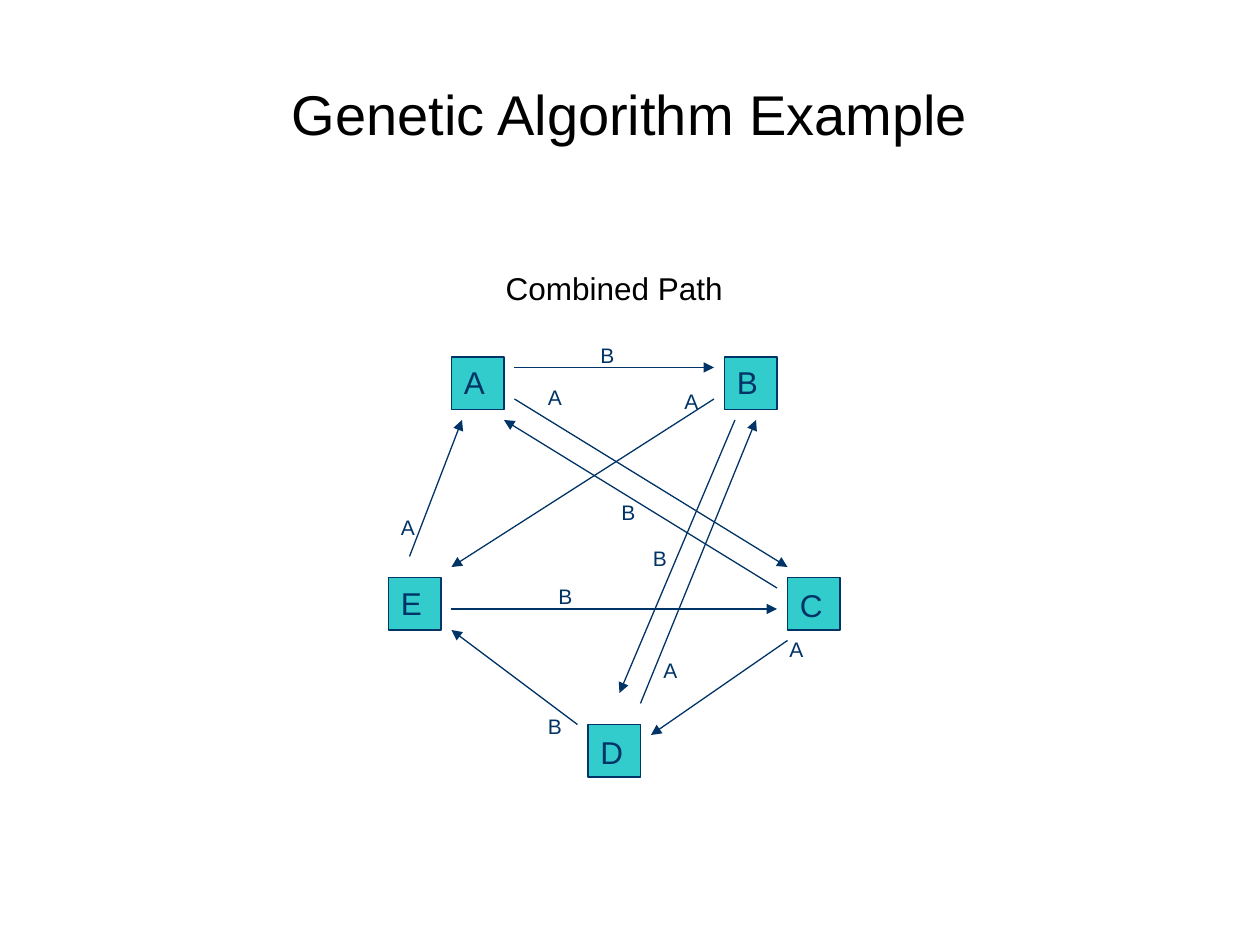
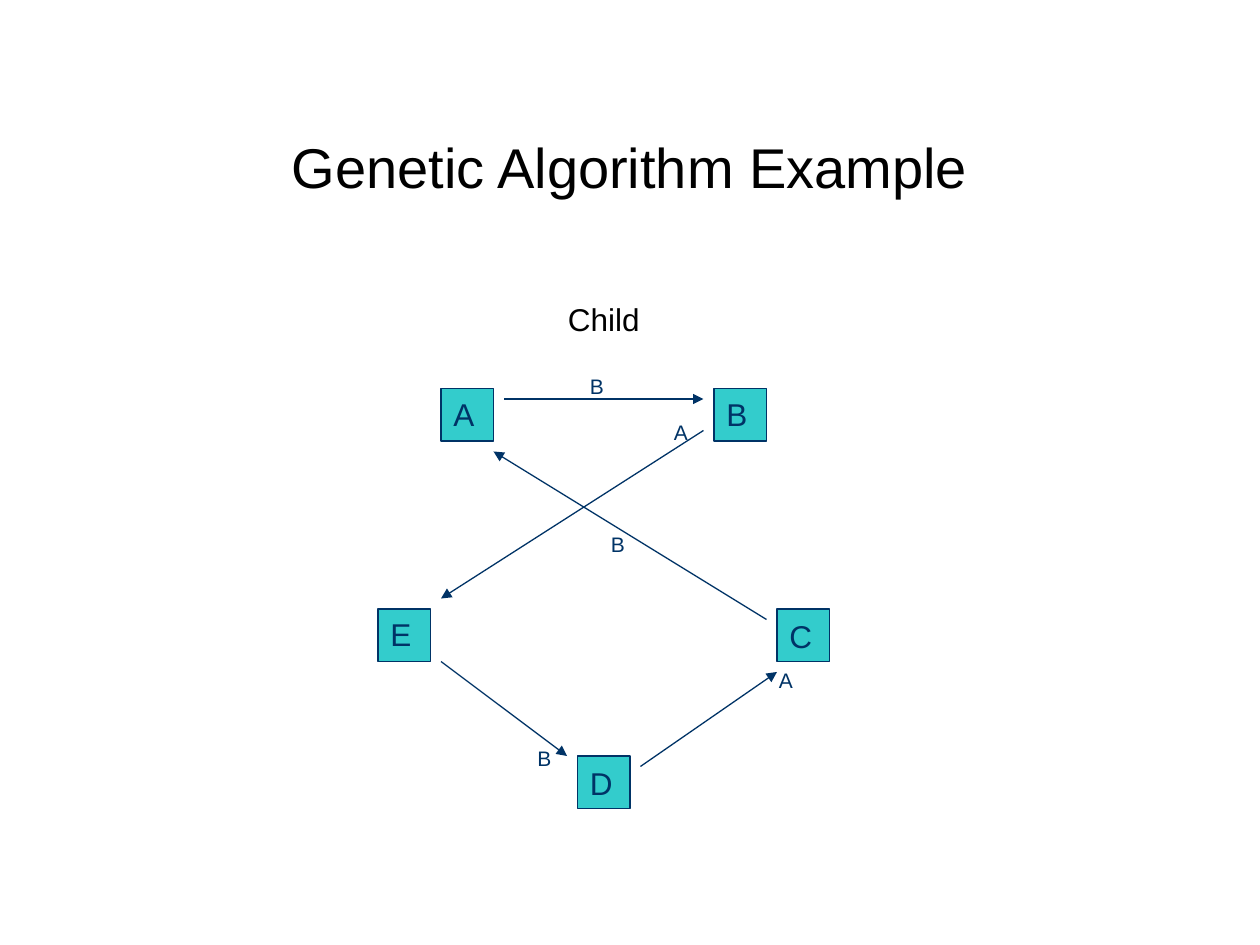
import pptx
import pptx.util
import pptx.dml.color
import pptx.enum.shapes
import pptx.enum.text
import pptx.oxml
import pptx.oxml.ns
import lxml.etree

COLUMNS, ROWS = 120, 90
COLORS = {"paper": "FFFFFF", "title": "000000", "ink": "003366", "node": "33CCCC"}
FONT = "Arial"
SIZES = {"title": 32, "node": 18, "caption": 18, "label": 12}
NODE_SIDE = 5

NODES = {"A": (6, 0), "B": (32, 0), "C": (38, 21), "D": (19, 35), "E": (0, 21)}
LOW_LETTERS = "CD"

PATHS = {
    "AC": ((12, 4), (38, 20), "A", (14, 2)),
    "CD": ((38, 27), (25, 36), "A", (37, 26)),
    "DB": ((24, 33), (35, 6), "A", (25, 28)),
    "BE": ((31, 4), (6, 20), "A", (27, 2.4)),
    "EA": ((2, 19), (7, 6), "A", (0, 14.4)),
    "AB": ((12, 1), (31, 1), "B", (19, -2)),
    "BD": ((33, 6), (22, 32), "B", (24, 17.4)),
    "DE": ((18, 35), (6, 26), "B", (14, 33.4)),
    "EC": ((6, 24), (37, 24), "B", (15, 21)),
    "CA": ((37, 22), (11, 6), "B", (21, 13)),
}

SLIDES = [
    {"title_row": 7, "origin": (37, 34), "caption": "Combined Path", "route": list(PATHS)},
    {"title_row": 12, "origin": (36, 37), "caption": "Child",
     "route": ["AB", "BE", "ED", "DC", "CA"]},
]


class GraphDeck:
    def __init__(self):
        self.deck = pptx.Presentation()
        self.deck.slide_width = pptx.util.Inches(10)
        self.deck.slide_height = pptx.util.Inches(7.5)
        self.slide = None
        self.origin = (0, 0)

    def color(self, name):
        return pptx.dml.color.RGBColor.from_string(COLORS[name])

    def across(self, columns):
        return round(self.deck.slide_width * columns / COLUMNS)

    def down(self, rows):
        return round(self.deck.slide_height * rows / ROWS)

    def place(self, point):
        column, row = point
        return self.across(self.origin[0] + column), self.down(self.origin[1] + row)

    def fill_text(self, frame, words, role, color, centred=False, low=False):
        anchors = pptx.enum.text.MSO_ANCHOR
        aligns = pptx.enum.text.PP_ALIGN
        frame.word_wrap = True
        frame.auto_size = pptx.enum.text.MSO_AUTO_SIZE.NONE
        frame.vertical_anchor = anchors.BOTTOM if low else anchors.TOP
        frame.margin_left = frame.margin_right = pptx.util.Inches(0.1)
        frame.margin_top = frame.margin_bottom = pptx.util.Inches(0.05)
        paragraph = frame.paragraphs[0]
        paragraph.alignment = aligns.CENTER if centred else aligns.LEFT
        run = paragraph.add_run()
        run.text = words
        run.font.name = FONT
        run.font.size = pptx.util.Pt(SIZES[role])
        run.font.color.rgb = self.color(color)

    def start(self, title_row, origin):
        self.slide = self.deck.slides.add_slide(self.deck.slide_layouts[5])
        self.slide.background.fill.solid()
        self.slide.background.fill.fore_color.rgb = self.color("paper")
        self.origin = origin
        title = self.slide.shapes.title
        title.left, title.top = self.across(13), self.down(title_row)
        title.width, title.height = self.across(94), self.down(7.7)
        self.fill_text(title.text_frame, "Genetic Algorithm Example", "title", "title",
                       centred=True)

    def text(self, point, size, words, role, color, centred=False):
        box = self.slide.shapes.add_textbox(
            *self.place(point), self.across(size[0]), self.down(size[1]))
        self.fill_text(box.text_frame, words, role, color, centred)

    def node(self, letter):
        square = self.slide.shapes.add_shape(
            pptx.enum.shapes.MSO_SHAPE.RECTANGLE, *self.place(NODES[letter]),
            self.across(NODE_SIDE), self.down(NODE_SIDE))
        square.shadow.inherit = False
        square.fill.solid()
        square.fill.fore_color.rgb = self.color("node")
        square.line.color.rgb = self.color("ink")
        square.line.width = pptx.util.Pt(0.75)
        self.fill_text(square.text_frame, letter, "node", "ink", low=letter in LOW_LETTERS)

    def arrow(self, start, end):
        arrow = self.slide.shapes.add_connector(
            pptx.enum.shapes.MSO_CONNECTOR.STRAIGHT, *self.place(start), *self.place(end))
        arrow.line.color.rgb = self.color("ink")
        arrow.line.width = pptx.util.Pt(0.75)
        qn = pptx.oxml.ns.qn
        properties = arrow._element.spPr
        lxml.etree.SubElement(properties.find(qn("a:ln")), qn("a:tailEnd"), type="triangle")
        lxml.etree.SubElement(properties, qn("a:effectLst"))

    def path_between(self, step):
        if step in PATHS:
            start, end, parent, label_at = PATHS[step]
        else:
            end, start, parent, label_at = PATHS[step[::-1]]
        self.arrow(start, end)
        self.text(label_at, (4, 3.6), parent, "label", "ink")


def main():
    graph = GraphDeck()
    for content in SLIDES:
        graph.start(content["title_row"], content["origin"])
        graph.text((3, -9), (37, 4.8), content["caption"], "caption", "title", centred=True)
        for letter in NODES:
            graph.node(letter)
        for step in content["route"]:
            graph.path_between(step)
    graph.deck.save("out.pptx")


if __name__ == "__main__":
    main()
